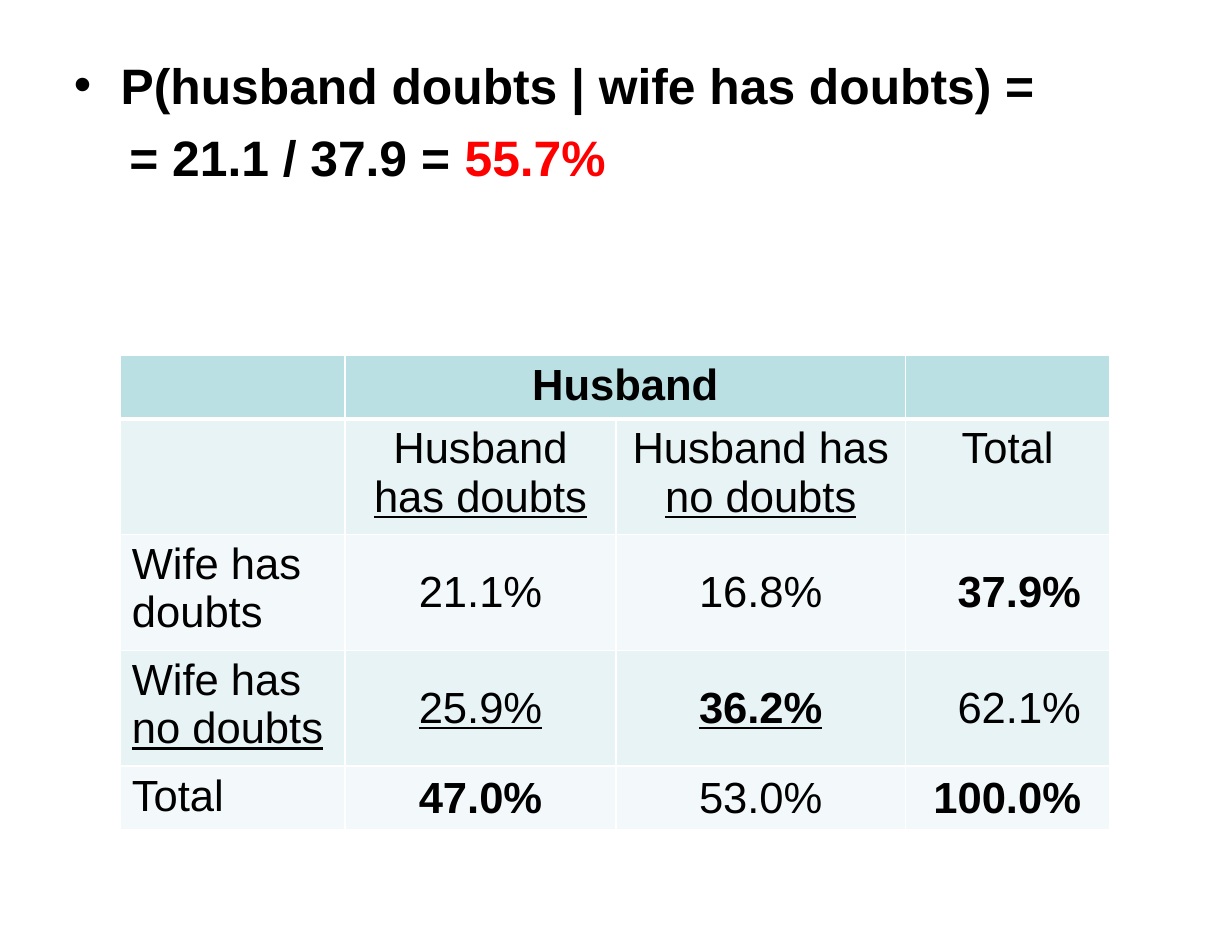
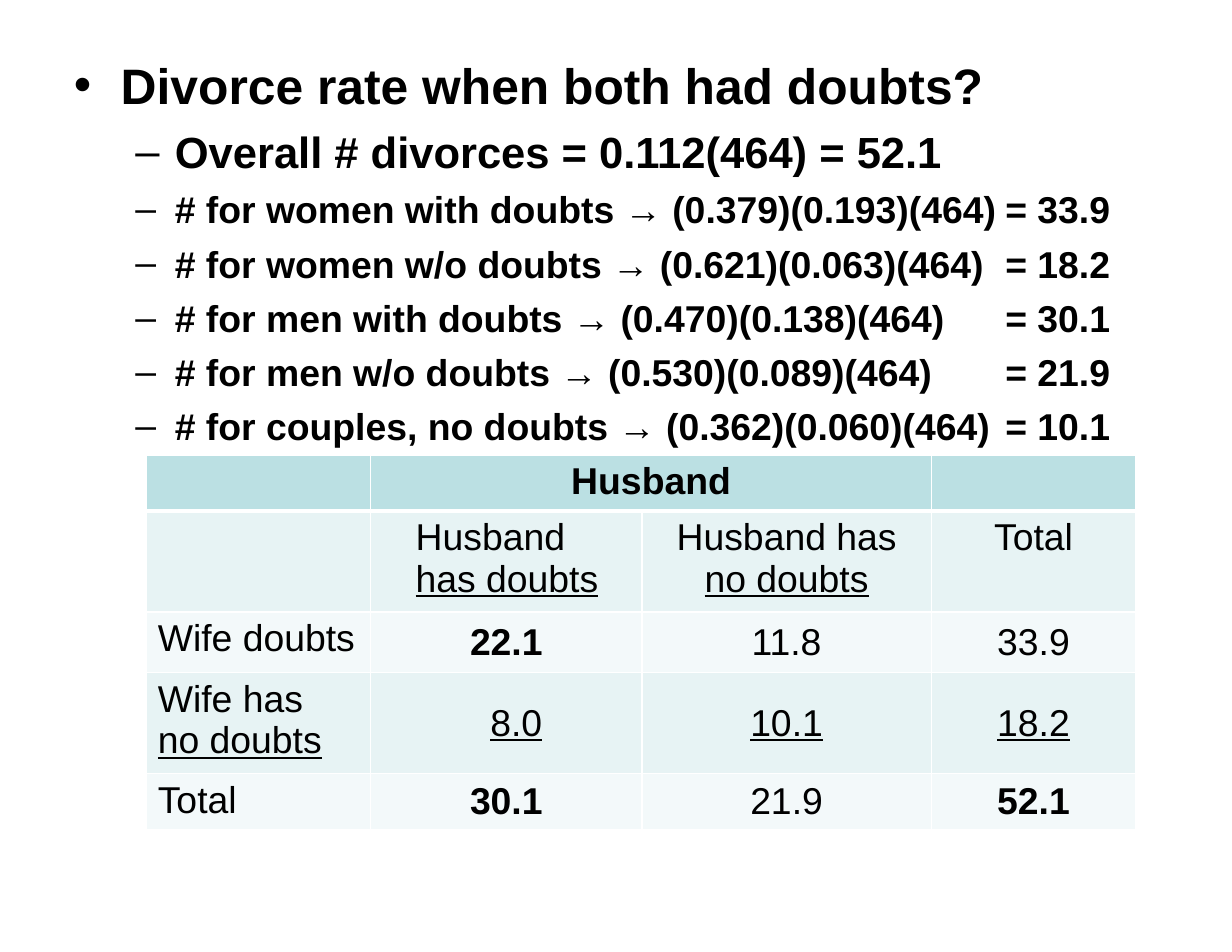
import dataclasses

import lxml.etree
import pptx
import pptx.dml.color
import pptx.enum.text
import pptx.oxml.ns
import pptx.util

Inches = pptx.util.Inches
Pt = pptx.util.Pt
ALIGN = pptx.enum.text.PP_ALIGN
ANCHOR = pptx.enum.text.MSO_ANCHOR
qn = pptx.oxml.ns.qn


@dataclasses.dataclass(frozen=True)
class Theme:
    font: str = "Arial"
    ink: str = "000000"
    accent: str = "FF0000"
    paper: str = "FFFFFF"
    header: str = "BBE0E3"
    bands: tuple = ("F3F9FA", "E7F3F4")
    heading: int = 32
    large: int = 28
    small: int = 24
    space: float = 0.25
    thin: int = 1
    thick: int = 3


class Deck:
    def __init__(self, theme, width, height):
        self.theme = theme
        self.prs = pptx.Presentation()
        self.prs.slide_width = Inches(width)
        self.prs.slide_height = Inches(height)
        self.s = None

    def slide(self):
        self.s = self.prs.slides.add_slide(self.prs.slide_layouts[6])

    def x(self, share):
        return round(self.prs.slide_width * share)

    def y(self, share):
        return round(self.prs.slide_height * share)

    def color(self, name):
        return pptx.dml.color.RGBColor.from_string(name)

    def style(self, r, size, bold=False, underline=False, color=None):
        r.font.name = self.theme.font
        r.font.size = Pt(size)
        r.font.bold = bold
        r.font.underline = underline
        r.font.color.rgb = self.color(color or self.theme.ink)

    def body(self):
        sp = self.s.shapes.add_textbox(self.x(0.05), self.y(0.05), self.x(0.9), self.y(0.85))
        sp.fill.solid()
        sp.fill.fore_color.rgb = self.color(self.theme.paper)
        tf = sp.text_frame
        tf.word_wrap = True
        tf.margin_left = tf.margin_right = Inches(0.11)
        tf.margin_top = tf.margin_bottom = Inches(0.06)
        return tf

    def line(self, tf, text, size, margin, hang=0, bullet=None, tab=None):
        p = tf.paragraphs[0] if not tf.text else tf.add_paragraph()
        p.text = text
        p.space_before = Pt(size * self.theme.space)
        for r in p.runs:
            self.style(r, size, bold=True)
        pPr = p._p.get_or_add_pPr()
        pPr.set("marL", str(self.x(margin)))
        pPr.set("indent", str(-self.x(hang)))
        if bullet:
            lxml.etree.SubElement(pPr, qn("a:buFont"), typeface=self.theme.font)
            lxml.etree.SubElement(pPr, qn("a:buChar"), char=bullet)
        if tab:
            tabs = lxml.etree.SubElement(pPr, qn("a:tabLst"))
            lxml.etree.SubElement(tabs, qn("a:tab"), pos=str(self.x(tab)), algn="l")
        return p

    def headline(self, tf, text):
        return self.line(tf, text, self.theme.heading, 0.038, 0.038, "•")

    def point(self, tf, text, size):
        return self.line(tf, text, size, 0.082, 0.032, "–", 0.756)

    def borders(self, cell, row):
        tcPr = cell._tc.get_or_add_tcPr()
        t = self.theme
        widths = {"L": t.thin, "R": t.thin,
                  "T": t.thick if row == 1 else t.thin,
                  "B": t.thick if row == 0 else t.thin}
        for i, (side, width) in enumerate(widths.items()):
            ln = lxml.etree.Element(qn("a:ln" + side), w=str(Pt(width)))
            fill = lxml.etree.SubElement(ln, qn("a:solidFill"))
            lxml.etree.SubElement(fill, qn("a:srgbClr"), val=t.paper)
            tcPr.insert(i, ln)

    def cell(self, cell, text, size, row, col):
        cell.fill.solid()
        cell.fill.fore_color.rgb = self.color(
            self.theme.bands[row % 2] if row else self.theme.header)
        self.borders(cell, row)
        if row > 1 and col:
            cell.vertical_anchor = ANCHOR.MIDDLE
        if not text:
            return
        lines = text.split("\n")
        tf = cell.text_frame
        tf.text = "\v".join(part.lstrip("*_") for part in lines)
        p = tf.paragraphs[0]
        p.alignment = ALIGN.CENTER if col else ALIGN.LEFT
        for part, r in zip(lines, p.runs):
            marks = part[:2]
            self.style(r, size, "*" in marks, "_" in marks)

    def table(self, left, top, heights, size, rows):
        widths = (0.182, 0.22, 0.235, 0.166)
        frame = self.s.shapes.add_table(
            len(rows), len(widths), self.x(left), self.y(top),
            self.x(sum(widths)), self.y(sum(heights)))
        tbl = frame.table
        for column, width in zip(tbl.columns, widths):
            column.width = self.x(width)
        for row, height in zip(tbl.rows, heights):
            row.height = self.y(height)
        for i, texts in enumerate(rows):
            for j, text in enumerate(texts):
                self.cell(tbl.cell(i, j), text, size, i, j)
        tbl.cell(0, 1).merge(tbl.cell(0, 2))
        return tbl

    def align(self, cell, alignment, left=0.1, right=0.1):
        cell.text_frame.paragraphs[0].alignment = alignment
        cell.margin_left = Inches(left)
        cell.margin_right = Inches(right)


HEAD = [
    ("", "*Husband", "", ""),
    ("", "Husband\n_has doubts", "Husband has\n_no doubts", "Total"),
]


def probability_slide(deck):
    t = deck.theme
    deck.slide()
    tf = deck.body()
    deck.headline(tf, "P(husband doubts | wife has doubts) =")
    p = deck.line(tf, "= 21.1 / 37.9 = ", t.heading, 0.045)
    r = p.add_run()
    r.text = "55.7%"
    deck.style(r, t.heading, bold=True, color=t.accent)
    tbl = deck.table(0.098, 0.373, (0.062, 0.114, 0.114, 0.114, 0.062), t.large, HEAD + [
        ("Wife has doubts", "21.1%", "16.8%", "*37.9%"),
        ("Wife has\n_no doubts", "_25.9%", "*_36.2%", "62.1%"),
        ("Total", "*47.0%", "53.0%", "*100.0%"),
    ])
    for row in range(2, 5):
        deck.align(tbl.cell(row, 3), ALIGN.RIGHT, right=0.26)


def divorce_slide(deck):
    t = deck.theme
    deck.slide()
    tf = deck.body()
    deck.headline(tf, "Divorce rate when both had doubts?")
    deck.point(tf, "Overall # divorces = 0.112(464) = 52.1", t.large)
    for group, product, result in (
        ("women with doubts", "(0.379)(0.193)(464)", "33.9"),
        ("women w/o doubts", "(0.621)(0.063)(464)", "18.2"),
        ("men with doubts", "(0.470)(0.138)(464)", "30.1"),
        ("men w/o doubts", "(0.530)(0.089)(464)", "21.9"),
        ("couples, no doubts", "(0.362)(0.060)(464)", "10.1"),
    ):
        deck.point(tf, f"# for {group} → {product}\t= {result}", t.small)
    tbl = deck.table(0.119, 0.478, (0.055, 0.099, 0.064, 0.099, 0.055), t.small, HEAD + [
        ("Wife doubts", "*22.1", "11.8", "33.9"),
        ("Wife has\n_no doubts", "_8.0", "_10.1", "_18.2"),
        ("Total", "*30.1", "21.9", "*52.1"),
    ])
    deck.align(tbl.cell(1, 1), ALIGN.LEFT, left=0.4)
    deck.align(tbl.cell(3, 1), ALIGN.RIGHT, right=0.89)


def main():
    deck = Deck(Theme(), 11, 8.5)
    probability_slide(deck)
    divorce_slide(deck)
    deck.prs.save("out.pptx")


if __name__ == "__main__":
    main()
